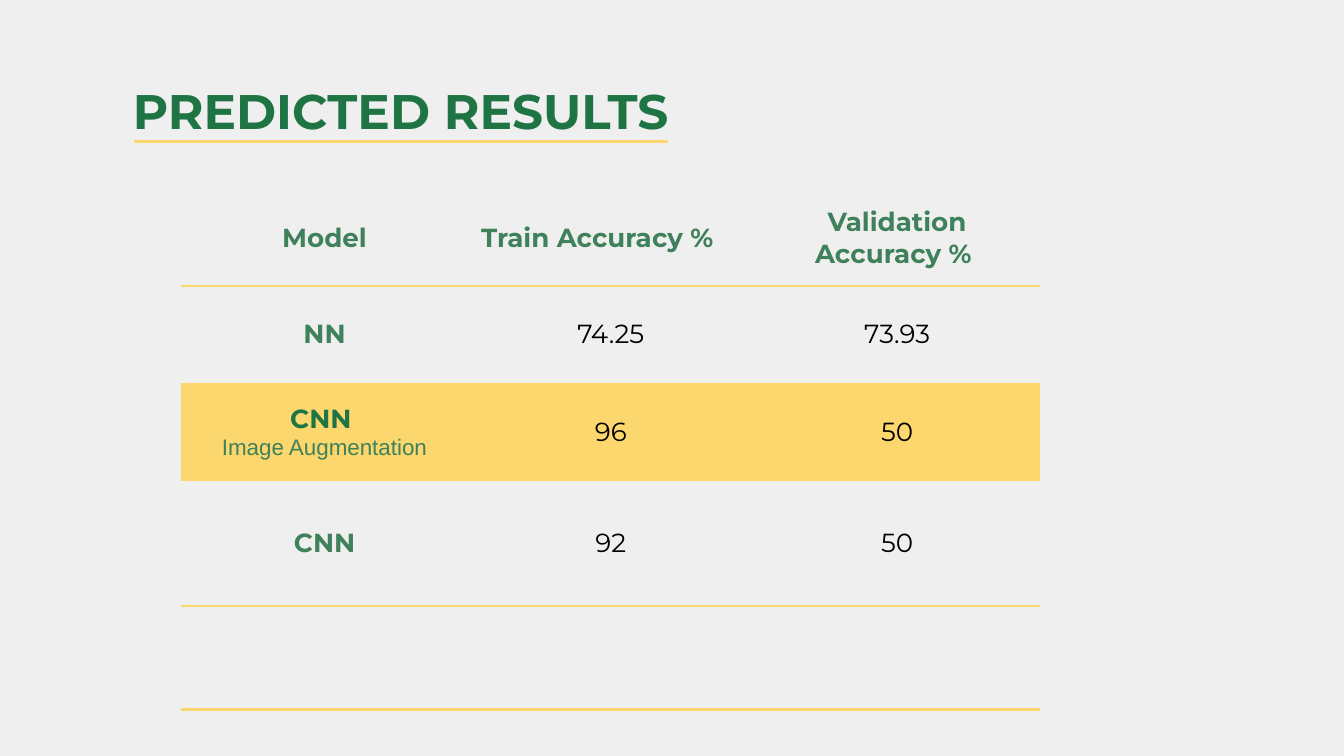
from dataclasses import dataclass

import pptx
import pptx.dml.color
import pptx.enum.shapes
import pptx.enum.text
import pptx.oxml
import pptx.oxml.ns
import pptx.util
from pptx.util import Inches

BACKGROUND = "EFEFEF"
YELLOW = "FBD76D"
DARK_GREEN = "1F7444"
GREEN = "3E815B"
BLACK = "000000"
RULE_WIDTH = pptx.util.Pt(1.5)
NO_STYLE = "{2D5ABB26-0587-4C30-8999-92F81FD0307C}"
CENTER = pptx.enum.text.PP_ALIGN.CENTER
LEFT = pptx.enum.text.PP_ALIGN.LEFT


@dataclass
class Style:
    color: str
    bold: bool = False
    size: float = 14
    font: str = "Montserrat"


@dataclass
class Line:
    text: str
    style: Style
    align: pptx.enum.text.PP_ALIGN = CENTER


@dataclass
class Row:
    height: float
    cells: list[list[Line]]
    fill: str | None = None
    ruled: bool = False


LABEL = Style(GREEN, bold=True)
VALUE = Style(BLACK)
BEST = Style(DARK_GREEN, bold=True)
DETAIL = Style(GREEN, size=12, font="Arial")
TITLE = Style(DARK_GREEN, bold=True, size=26)


def rgb(color: str) -> pptx.dml.color.RGBColor:
    return pptx.dml.color.RGBColor.from_string(color)


def write(frame, lines: list[Line]) -> None:
    frame.text = "\n".join(line.text for line in lines)
    for paragraph, line in zip(frame.paragraphs, lines):
        paragraph.alignment = line.align
        for run in paragraph.runs:
            run.font.name = line.style.font
            run.font.size = pptx.util.Pt(line.style.size)
            run.font.bold = line.style.bold
            run.font.color.rgb = rgb(line.style.color)


def set_margins(holder) -> None:
    holder.margin_left = holder.margin_right = Inches(0.1)
    holder.margin_top = holder.margin_bottom = Inches(0.1)


def add_bottom_border(cell, color: str) -> None:
    border = pptx.oxml.parse_xml(
        f'<a:lnB {pptx.oxml.ns.nsdecls("a")} w="{RULE_WIDTH}">'
        f'<a:solidFill><a:srgbClr val="{color}"/></a:solidFill></a:lnB>')
    cell._tc.get_or_add_tcPr().insert(0, border)


def add_title(slide, text: str) -> None:
    title = slide.shapes.add_textbox(Inches(0.89), Inches(0.5), Inches(8.21), Inches(0.63))
    title.text_frame.word_wrap = True
    set_margins(title.text_frame)
    write(title.text_frame, [Line(text, TITLE, LEFT)])


def add_underline(slide) -> None:
    underline = slide.shapes.add_connector(
        pptx.enum.shapes.MSO_CONNECTOR.STRAIGHT,
        Inches(1), Inches(1.05), Inches(4.97), Inches(1.05))
    underline.line.color.rgb = rgb(YELLOW)
    underline.line.width = RULE_WIDTH
    underline._element.spPr.append(
        pptx.oxml.parse_xml(f'<a:effectLst {pptx.oxml.ns.nsdecls("a")}/>'))


def add_results(slide, rows: list[Row]) -> None:
    height = sum(row.height for row in rows)
    results = slide.shapes.add_table(
        len(rows), 3, Inches(1.35), Inches(1.41), Inches(6.39), Inches(height)).table
    results.first_row = results.horz_banding = False
    results._tbl.tblPr.find(pptx.oxml.ns.qn("a:tableStyleId")).text = NO_STYLE

    for index, row in enumerate(rows):
        results.rows[index].height = Inches(row.height)
        for cell, lines in zip(results.rows[index].cells, row.cells):
            set_margins(cell)
            cell.vertical_anchor = pptx.enum.text.MSO_ANCHOR.MIDDLE
            if lines:
                write(cell.text_frame, lines)
            if row.fill:
                cell.fill.solid()
                cell.fill.fore_color.rgb = rgb(row.fill)
            else:
                cell.fill.background()
            if row.ruled:
                add_bottom_border(cell, YELLOW)


def model_cells(model: list[Line], train: str, validation: str) -> list[list[Line]]:
    return [model, [Line(train, VALUE)], [Line(validation, VALUE)]]


ROWS = [
    Row(0.72, [[Line("Model", LABEL)],
               [Line("Train Accuracy %", LABEL, LEFT)],
               [Line("Validation Accuracy % ", LABEL)]], ruled=True),
    Row(0.72, model_cells([Line("NN", LABEL)], "74.25", "73.93")),
    Row(0.73, model_cells([Line("CNN ", BEST), Line("Image Augmentation", DETAIL)],
                          "96", "50"), fill=YELLOW),
    Row(0.93, model_cells([Line("CNN", LABEL)], "92", "50"), ruled=True),
    Row(0.77, [[], [], []], ruled=True),
]


def main() -> None:
    # Widescreen slide, 16:9
    deck = pptx.Presentation()
    deck.slide_width = Inches(10)
    deck.slide_height = Inches(10 * 9 / 16)
    slide = deck.slides.add_slide(deck.slide_layouts[6])
    slide.background.fill.solid()
    slide.background.fill.fore_color.rgb = rgb(BACKGROUND)

    # Heading
    add_title(slide, "PREDICTED RESULTS")

    # Accuracy table
    add_results(slide, ROWS)

    # Rule under the heading
    add_underline(slide)

    deck.save("out.pptx")


if __name__ == "__main__":
    main()
